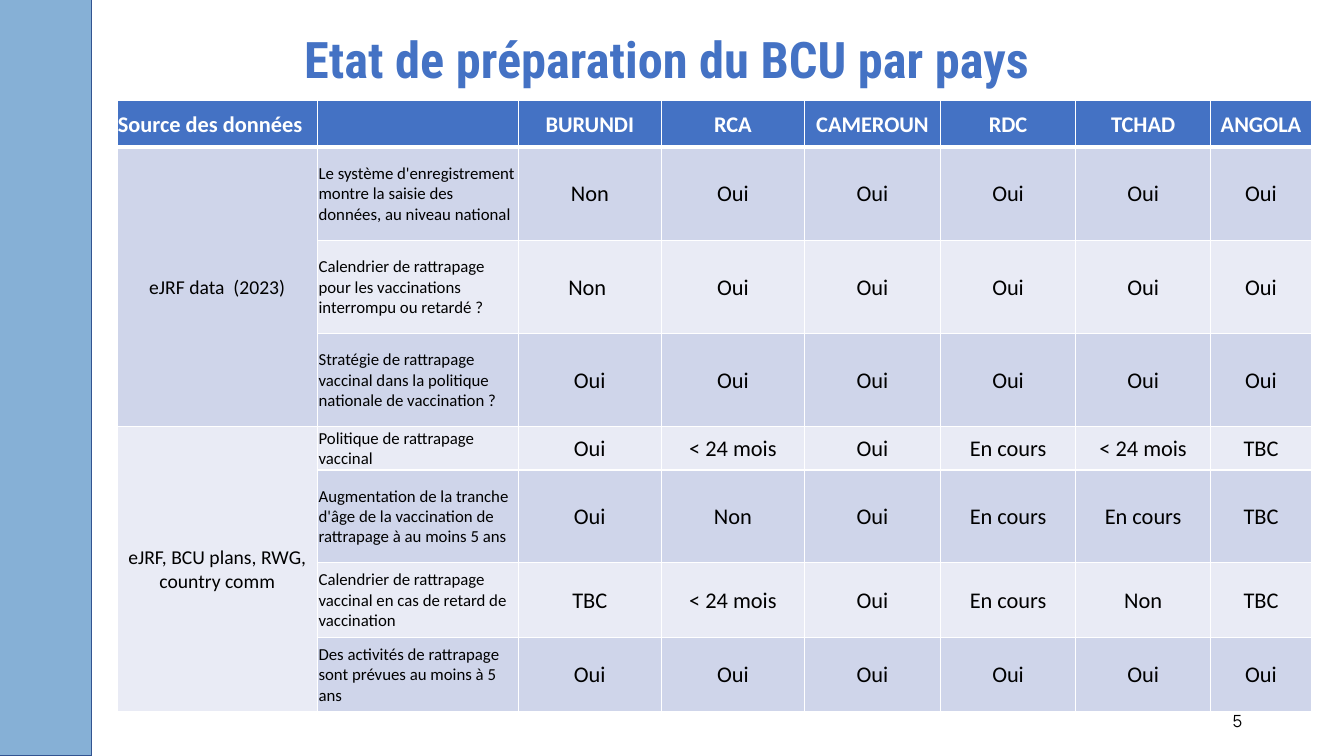
from dataclasses import dataclass

from lxml import etree
from pptx import Presentation
from pptx.dml.color import RGBColor
from pptx.enum.shapes import MSO_SHAPE
from pptx.enum.text import MSO_ANCHOR, PP_ALIGN
from pptx.oxml.ns import qn
from pptx.slide import Slide
from pptx.table import Table, _Cell
from pptx.text.text import TextFrame
from pptx.util import Emu, Inches, Pt

RECTANGLE = MSO_SHAPE.RECTANGLE
MIDDLE = MSO_ANCHOR.MIDDLE
LEFT, CENTER, RIGHT = PP_ALIGN.LEFT, PP_ALIGN.CENTER, PP_ALIGN.RIGHT

SLIDE_WIDTH, SLIDE_HEIGHT = Inches(13.33), Inches(7.5)
COLORS = {
    "white": "FFFFFF",
    "black": "000000",
    "blue": "4472C4",
    "side": "86B0D6",
    "side_line": "325491",
    "dark_band": "CFD5EA",
    "light_band": "E9EBF5",
}


@dataclass(frozen=True)
class Area:
    """Percentages of the slide's width and height."""

    left: float
    top: float
    width: float
    height: float


@dataclass(frozen=True)
class Style:
    font: str
    size: int
    color: str
    align: PP_ALIGN
    bold: bool = False


@dataclass(frozen=True)
class Question:
    text: str
    answers: tuple[str, ...]


@dataclass(frozen=True)
class Source:
    name: str
    questions: tuple[Question, ...]


SIDE_BAR = Area(-0.38, -0.27, 7.2, 100.27)
TITLE_AREA = Area(6.9, 0, 86.27, 16.4)
NUMBER_AREA = Area(70.67, 92.67, 22.5, 5.33)
TABLE_AREA = Area(8.7, 13.33, 88.86, 81.07)
COLUMN_SHARES = (14.93, 14.93, 10.65, 10.65, 10.13, 10.05, 10.05, 7.5)
ROW_SHARES = (6.13, 12.33, 12.33, 12.33, 5.73, 12.27, 9.87, 9.87)

TITLE = Style("Roboto Condensed", 36, "blue", CENTER, True)
NUMBER = Style("Manrope", 12, "black", RIGHT)
SOURCE_HEADING = Style("Calibri", 16, "white", LEFT, True)
COUNTRY = Style("Calibri", 16, "white", CENTER, True)
SOURCE_NAME = Style("Calibri", 14, "black", CENTER)
QUESTION = Style("Calibri", 12, "black", LEFT)
ANSWER = Style("Calibri", 16, "black", CENTER)

HEADINGS = ("Source des données", "", "BURUNDI", "RCA", "CAMEROUN", "RDC", "TCHAD", "ANGOLA")
ALL_YES = ("Oui",) * 6
SOURCES = (
    Source("eJRF data  (2023)", (
        Question("Le système d'enregistrement montre la saisie des données, au niveau national",
                 ("Non",) + ALL_YES[1:]),
        Question("Calendrier de rattrapage pour les vaccinations interrompu ou retardé ?",
                 ("Non ",) + ALL_YES[1:]),
        Question("Stratégie de rattrapage vaccinal dans la politique nationale de vaccination ?",
                 ALL_YES),
    )),
    Source("eJRF, BCU plans, RWG, country comm", (
        Question("Politique de rattrapage vaccinal",
                 ("Oui", "< 24 mois", "Oui", "En cours", "< 24 mois", "TBC")),
        Question("Augmentation de la tranche d'âge de la vaccination de rattrapage à au moins 5 ans",
                 ("Oui", "Non", "Oui", "En cours", "En cours", "TBC")),
        Question("Calendrier de rattrapage vaccinal en cas de retard de vaccination",
                 ("TBC", "< 24 mois", "Oui", "En cours", "Non", "TBC")),
        Question("Des activités de rattrapage sont prévues au moins à 5 ans", ALL_YES),
    )),
)


def color(name: str) -> RGBColor:
    return RGBColor.from_string(COLORS[name])


def across(share: float) -> Emu:
    return Emu(round(SLIDE_WIDTH * share / 100))


def down(share: float) -> Emu:
    return Emu(round(SLIDE_HEIGHT * share / 100))


def place(area: Area) -> tuple[Emu, Emu, Emu, Emu]:
    return across(area.left), down(area.top), across(area.width), down(area.height)


def write(frame: TextFrame, text: str, style: Style) -> None:
    frame.text = text
    para = frame.paragraphs[0]
    para.alignment = style.align
    for font in [para.font] + [span.font for span in para.runs]:
        font.name = style.font
        font.size = Pt(style.size)
        font.bold = style.bold
        font.color.rgb = color(style.color)


def add_side_bar(page: Slide) -> None:
    bar = page.shapes.add_shape(RECTANGLE, *place(SIDE_BAR))
    bar.shadow.inherit = False
    bar.fill.solid()
    bar.fill.fore_color.rgb = color("side")
    bar.line.color.rgb = color("side_line")
    bar.line.width = Pt(1)


def add_label(page: Slide, area: Area, text: str, style: Style) -> TextFrame:
    frame = page.shapes.add_textbox(*place(area)).text_frame
    frame.word_wrap = True
    frame.vertical_anchor = MIDDLE
    write(frame, text, style)
    return frame


def add_borders(cell: _Cell, row: int) -> None:
    widths = {"a:lnL": 1, "a:lnR": 1, "a:lnT": 3 if row == 1 else 1, "a:lnB": 3 if row == 0 else 1}
    properties = cell._tc.get_or_add_tcPr()
    for side, width in widths.items():
        line = etree.SubElement(properties, qn(side), w=str(Pt(width)))
        fill = etree.SubElement(line, qn("a:solidFill"))
        etree.SubElement(fill, qn("a:srgbClr"), val=COLORS["white"])


def fill_cell(table: Table, row: int, column: int, text: str, style: Style) -> None:
    cell = table.cell(row, column)
    cell.vertical_anchor = MIDDLE
    cell.margin_left = cell.margin_right = cell.margin_top = Inches(0.01)
    cell.margin_bottom = 0
    add_borders(cell, row)
    band = "dark_band" if row % 2 else "light_band"
    cell.fill.solid()
    cell.fill.fore_color.rgb = color("blue" if row == 0 else band)
    write(cell.text_frame, text, style)


def add_readiness_table(page: Slide) -> None:
    table = page.shapes.add_table(len(ROW_SHARES), len(COLUMN_SHARES), *place(TABLE_AREA)).table
    table.horz_banding = False
    for column, share in zip(table.columns, COLUMN_SHARES):
        column.width = across(share)
    for line, share in zip(table.rows, ROW_SHARES):
        line.height = down(share)

    for column, heading in enumerate(HEADINGS):
        fill_cell(table, 0, column, heading, COUNTRY if column else SOURCE_HEADING)
    row = 1
    for source in SOURCES:
        first = row
        for question in source.questions:
            fill_cell(table, row, 0, source.name if row == first else "", SOURCE_NAME)
            fill_cell(table, row, 1, question.text, QUESTION)
            for column, answer in enumerate(question.answers, start=2):
                fill_cell(table, row, column, answer, ANSWER)
            row += 1
        table.cell(first, 0).merge(table.cell(row - 1, 0))


def main() -> None:
    deck = Presentation()
    deck.slide_width, deck.slide_height = SLIDE_WIDTH, SLIDE_HEIGHT
    page = deck.slides.add_slide(deck.slide_layouts[6])
    page.background.fill.solid()
    page.background.fill.fore_color.rgb = color("white")
    add_side_bar(page)
    title = add_label(page, TITLE_AREA, "Etat de préparation du BCU par pays ", TITLE)
    title.paragraphs[0].line_spacing = 0.9
    number = add_label(page, NUMBER_AREA, "5", NUMBER)
    number.paragraphs[0].space_after = Pt(6)
    add_readiness_table(page)
    deck.save("out.pptx")


if __name__ == "__main__":
    main()
